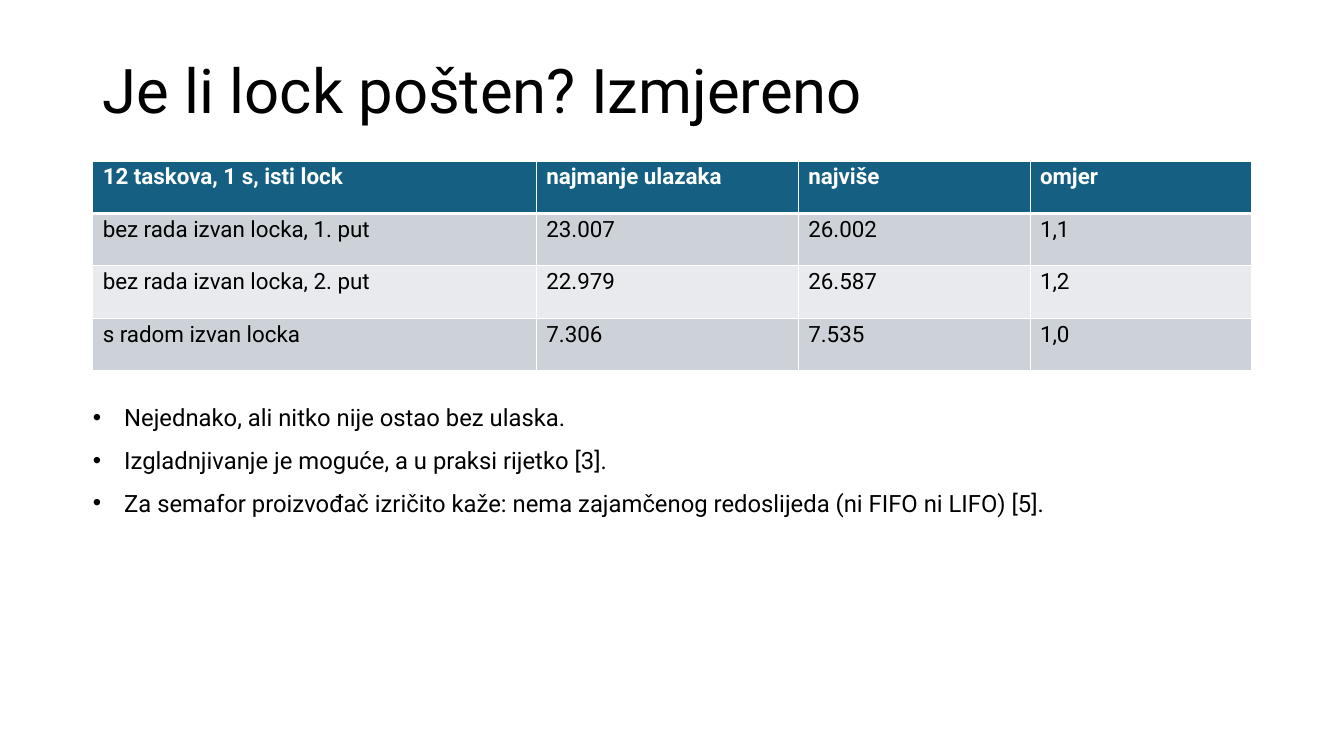
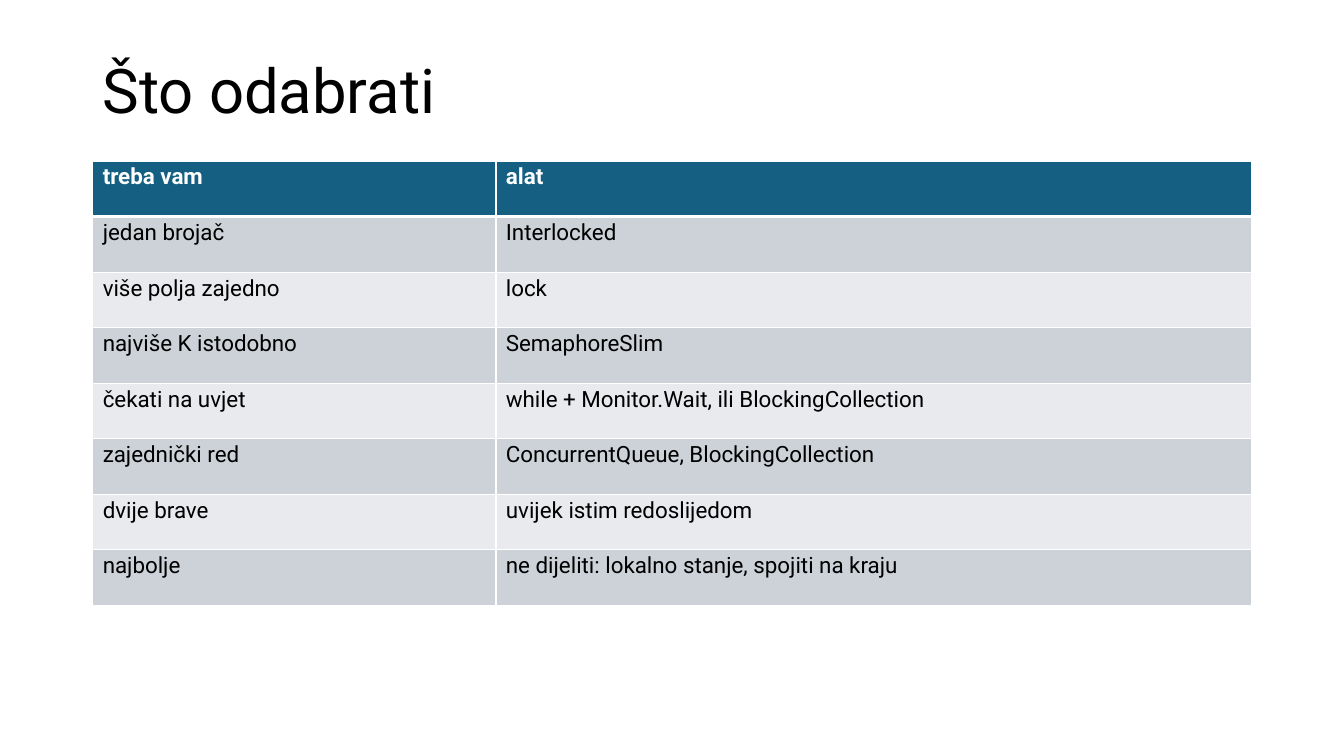
from lxml.etree import SubElement
from pptx import Presentation
from pptx.dml.color import RGBColor
from pptx.enum.text import MSO_ANCHOR, MSO_AUTO_SIZE
from pptx.oxml.ns import qn
from pptx.util import Cm, Pt

FONT = "Roboto"
BLACK = RGBColor(0x00, 0x00, 0x00)
WHITE = RGBColor(0xFF, 0xFF, 0xFF)
HEADER_BLUE = RGBColor(0x15, 0x60, 0x82)
BAND_DARK = RGBColor(0xCC, 0xD2, 0xD8)
BAND_LIGHT = RGBColor(0xE8, 0xEA, 0xED)

LEFT = Cm(2.34)
CONTENT_WIDTH = Cm(29.21)
TITLE_BOX = (LEFT, Cm(1.02), CONTENT_WIDTH, Cm(2.69))
TABLE_TOP = Cm(4.06)
BULLETS_BOX = (LEFT, Cm(10.16), CONTENT_WIDTH, Cm(6.6))
BULLET_INDENT = Cm(0.79)

FAIRNESS_ROWS = [
    ("12 taskova, 1 s, isti lock", "najmanje ulazaka", "najviše", "omjer"),
    ("bez rada izvan locka, 1. put", "23.007", "26.002", "1,1"),
    ("bez rada izvan locka, 2. put", "22.979", "26.587", "1,2"),
    ("s radom izvan locka", "7.306", "7.535", "1,0"),
]
FAIRNESS_NOTES = [
    "Nejednako, ali nitko nije ostao bez ulaska.",
    "Izgladnjivanje je moguće, a u praksi rijetko [3].",
    "Za semafor proizvođač izričito kaže: nema zajamčenog redoslijeda (ni FIFO ni LIFO) [5].",
]
CHOICE_ROWS = [
    ("treba vam", "alat"),
    ("jedan brojač", "Interlocked"),
    ("više polja zajedno", "lock"),
    ("najviše K istodobno", "SemaphoreSlim"),
    ("čekati na uvjet", "while + Monitor.Wait, ili BlockingCollection"),
    ("zajednički red", "ConcurrentQueue, BlockingCollection"),
    ("dvije brave", "uvijek istim redoslijedom"),
    ("najbolje", "ne dijeliti: lokalno stanje, spojiti na kraju"),
]


def write_text(paragraph, text, size, color=BLACK, bold=False,
               line_spacing=None, space_after=None, bullet=False):
    paragraph.line_spacing = line_spacing
    paragraph.space_after = space_after
    if bullet:
        properties = paragraph._p.get_or_add_pPr()
        properties.set("marL", str(BULLET_INDENT))
        properties.set("indent", str(-BULLET_INDENT))
        SubElement(properties, qn("a:buFont"), typeface="Arial")
        SubElement(properties, qn("a:buChar"), char="•")
    run = paragraph.add_run()
    run.text = text
    run.font.name = FONT
    run.font.size = Pt(size)
    run.font.bold = bold
    run.font.color.rgb = color


def add_title(slide, box, text):
    frame = slide.shapes.add_textbox(*box).text_frame
    frame.word_wrap = True
    frame.vertical_anchor = MSO_ANCHOR.MIDDLE
    write_text(frame.paragraphs[0], text, size=44, line_spacing=0.9)


def add_bullets(slide, box, texts):
    frame = slide.shapes.add_textbox(*box).text_frame
    frame.word_wrap = True
    frame.auto_size = MSO_AUTO_SIZE.SHAPE_TO_FIT_TEXT
    frame.margin_left = frame.margin_right = 0
    frame.margin_top = frame.margin_bottom = 0
    for index, text in enumerate(texts):
        paragraph = frame.add_paragraph() if index else frame.paragraphs[0]
        write_text(paragraph, text, size=17, space_after=Pt(10), bullet=True)


def set_borders(cell, bottom_width):
    properties = cell._tc.get_or_add_tcPr()
    for side in ("lnL", "lnR", "lnT", "lnB"):
        width = Pt(bottom_width if side == "lnB" else 1)
        line = SubElement(properties, qn(f"a:{side}"), w=str(width))
        fill = SubElement(line, qn("a:solidFill"))
        SubElement(fill, qn("a:srgbClr"), val=str(WHITE))


def format_cell(cell, text, row_index):
    header = row_index == 0
    cell.margin_left = cell.margin_right = Cm(0.25)
    cell.margin_top = cell.margin_bottom = Cm(0.08)
    set_borders(cell, bottom_width=3 if header else 1)
    cell.fill.solid()
    band = BAND_DARK if row_index % 2 else BAND_LIGHT
    cell.fill.fore_color.rgb = HEADER_BLUE if header else band
    write_text(cell.text_frame.paragraphs[0], text, size=16,
               color=WHITE if header else BLACK, bold=header)


def add_banded_table(slide, left, top, column_widths, row_height, rows):
    table = slide.shapes.add_table(
        len(rows), len(column_widths), left, top,
        sum(column_widths), row_height * len(rows)).table
    for column, width in zip(table.columns, column_widths):
        column.width = width
    for row_index, texts in enumerate(rows):
        table.rows[row_index].height = row_height
        for column_index, text in enumerate(texts):
            format_cell(table.cell(row_index, column_index), text, row_index)


def add_table_slide(presentation, title, column_widths, row_height, rows, notes=()):
    slide = presentation.slides.add_slide(presentation.slide_layouts[6])
    add_title(slide, TITLE_BOX, title)
    add_banded_table(slide, LEFT, TABLE_TOP, column_widths, row_height, rows)
    if notes:
        add_bullets(slide, BULLETS_BOX, notes)


def main():
    presentation = Presentation()
    presentation.slide_width = Cm(33.87)
    presentation.slide_height = Cm(19.05)
    add_table_slide(presentation, "Je li lock pošten? Izmjereno",
                    [Cm(11.18), Cm(6.6), Cm(5.84), Cm(5.59)], Cm(1.32),
                    FAIRNESS_ROWS, FAIRNESS_NOTES)
    add_table_slide(presentation, "Što odabrati",
                    [Cm(10.16), Cm(19.05)], Cm(1.4), CHOICE_ROWS)
    presentation.save("out.pptx")


if __name__ == "__main__":
    main()
